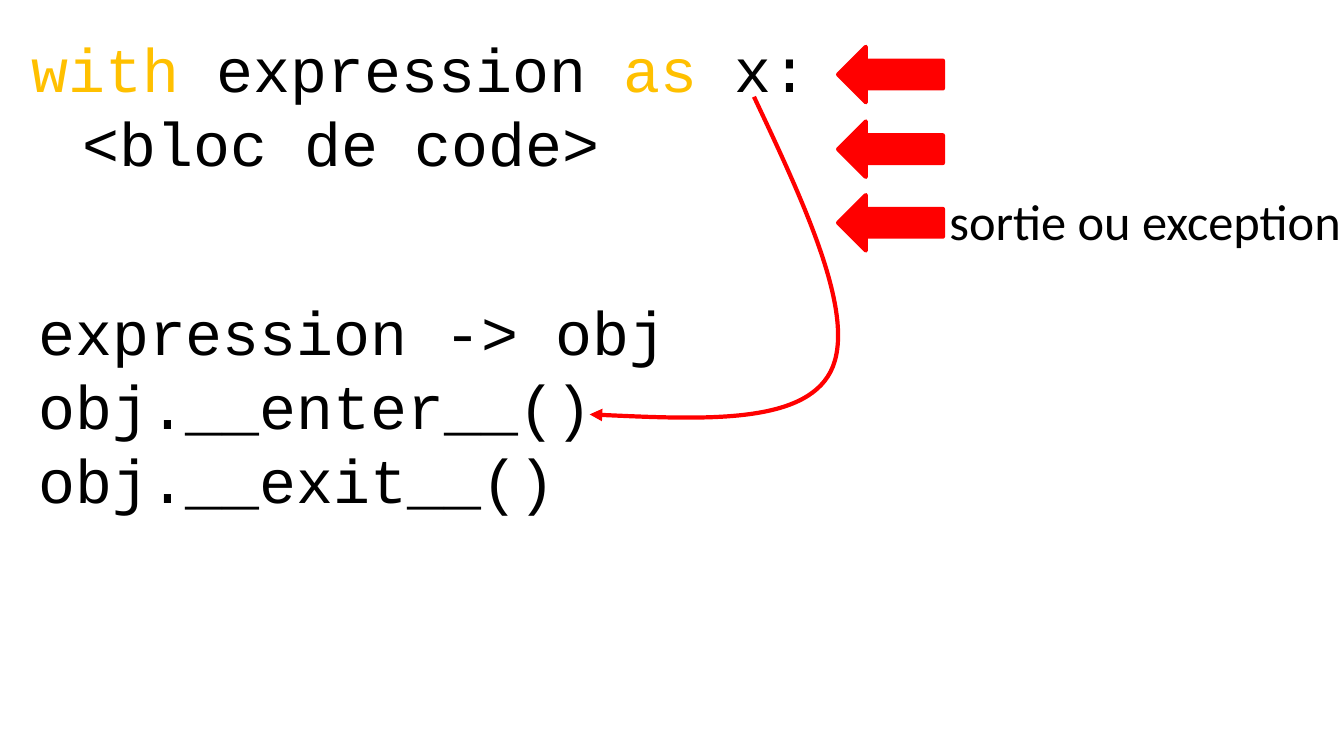
from pptx import Presentation
from pptx.dml.color import RGBColor
from pptx.enum.shapes import MSO_SHAPE as Preset
from pptx.enum.text import MSO_AUTO_SIZE as AutoSize
from pptx.oxml.ns import qn
from pptx.util import Pt
from lxml.etree import SubElement

RED = RGBColor(0xFF, 0x00, 0x00)
AMBER = RGBColor(0xFF, 0xC0, 0x00)
BLACK = RGBColor(0x00, 0x00, 0x00)
CODE_FONT = "Courier New"
LABEL_FONT = "Calibri"
KEYWORDS = ("with", "as")


def add_text(slide, box, lines, font_name, size):
    shape = slide.shapes.add_textbox(*map(Pt, box))
    frame = shape.text_frame
    frame.word_wrap = True
    frame.auto_size = AutoSize.SHAPE_TO_FIT_TEXT
    for index, pieces in enumerate(lines):
        paragraph = frame.paragraphs[0] if index == 0 else frame.add_paragraph()
        paragraph.font.name = font_name
        paragraph.font.size = Pt(size)
        for piece in pieces:
            run = paragraph.add_run()
            run.text = piece
            run.font.color.rgb = AMBER if piece in KEYWORDS else BLACK
    return shape


def style_line(shape):
    shape.shadow.inherit = False
    shape.line.color.rgb = RED
    shape.line.width = Pt(3)


def add_step_arrow(slide, top):
    arrow = slide.shapes.add_shape(Preset.DOWN_ARROW, Pt(616.3), Pt(top), Pt(39.6), Pt(74.9))
    arrow.rotation = 90
    arrow.fill.solid()
    arrow.fill.fore_color.rgb = RED
    style_line(arrow)
    return arrow


def add_curved_arrow(slide, start, curves, width, height):
    ends = [tuple(map(Pt, curve[-1])) for curve in curves]
    builder = slide.shapes.build_freeform(*map(Pt, start))
    builder.add_line_segments(ends, close=False)
    shape = builder.convert_to_shape()
    shape.width, shape.height = Pt(width), Pt(height)
    outline = shape._element.find(".//" + qn("a:path"))
    outline.set("w", str(shape.width))
    outline.set("h", str(shape.height))
    for segment, curve in zip(outline.findall(qn("a:lnTo")), curves):
        bezier = SubElement(outline, qn("a:cubicBezTo"))
        for x, y in curve:
            SubElement(bezier, qn("a:pt"), x=str(Pt(x) - shape.left), y=str(Pt(y) - shape.top))
        outline.remove(segment)
    shape.fill.background()
    style_line(shape)
    SubElement(shape.line._get_or_add_ln(), qn("a:tailEnd"), type="triangle")


def main():
    presentation = Presentation()
    presentation.slide_width, presentation.slide_height = Pt(960), Pt(540)
    slide = presentation.slides.add_slide(presentation.slide_layouts[6])

    statement = [["with", " expression ", "as", " x:"], ["\t<bloc de code>"]]
    add_text(slide, (15.8, 18.7, 702.7, 113.8), statement, CODE_FONT, 44)
    protocol = [["expression -> obj"], ["obj.__enter__()"], ["obj.__exit__()"]]
    add_text(slide, (20.2, 206.6, 482.4, 167), protocol, CODE_FONT, 44)

    result_curves = [
        [(576, 148.3), (612.7, 227.5), (593.3, 265.5)],
        [(573.8, 303.1), (497.5, 299.5), (421.2, 296)],
    ]
    add_curved_arrow(slide, (538.6, 69.1), result_curves, 177.1, 229)

    arrows = [add_step_arrow(slide, top) for top in (15.8, 69.1, 121.7)]
    label = add_text(slide, (671, 132.5, 295.9, 51.1), [["sortie ou exception"]], LABEL_FONT, 36)
    slide.shapes.add_group_shape([arrows[-1], label])

    presentation.save("out.pptx")


main()
